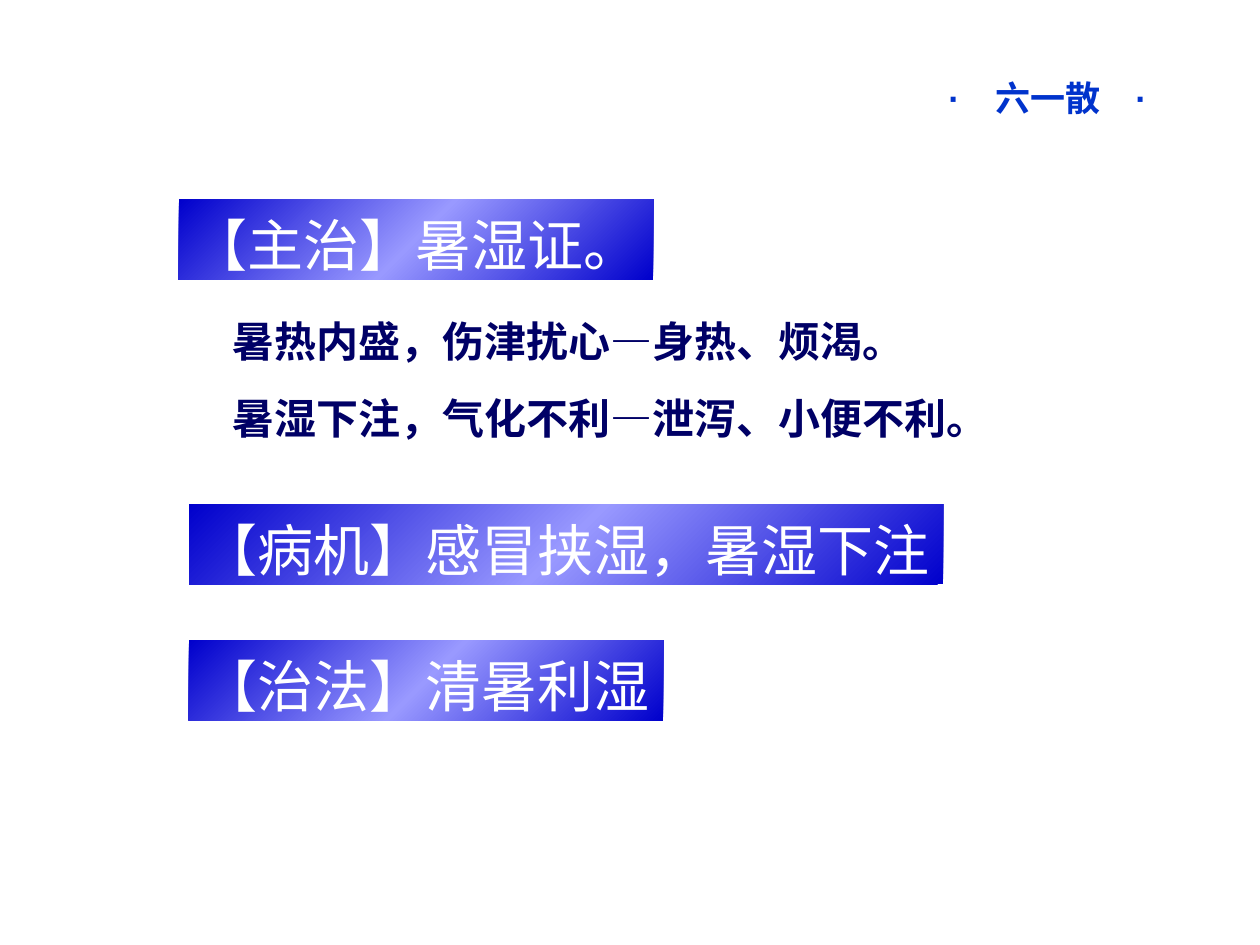
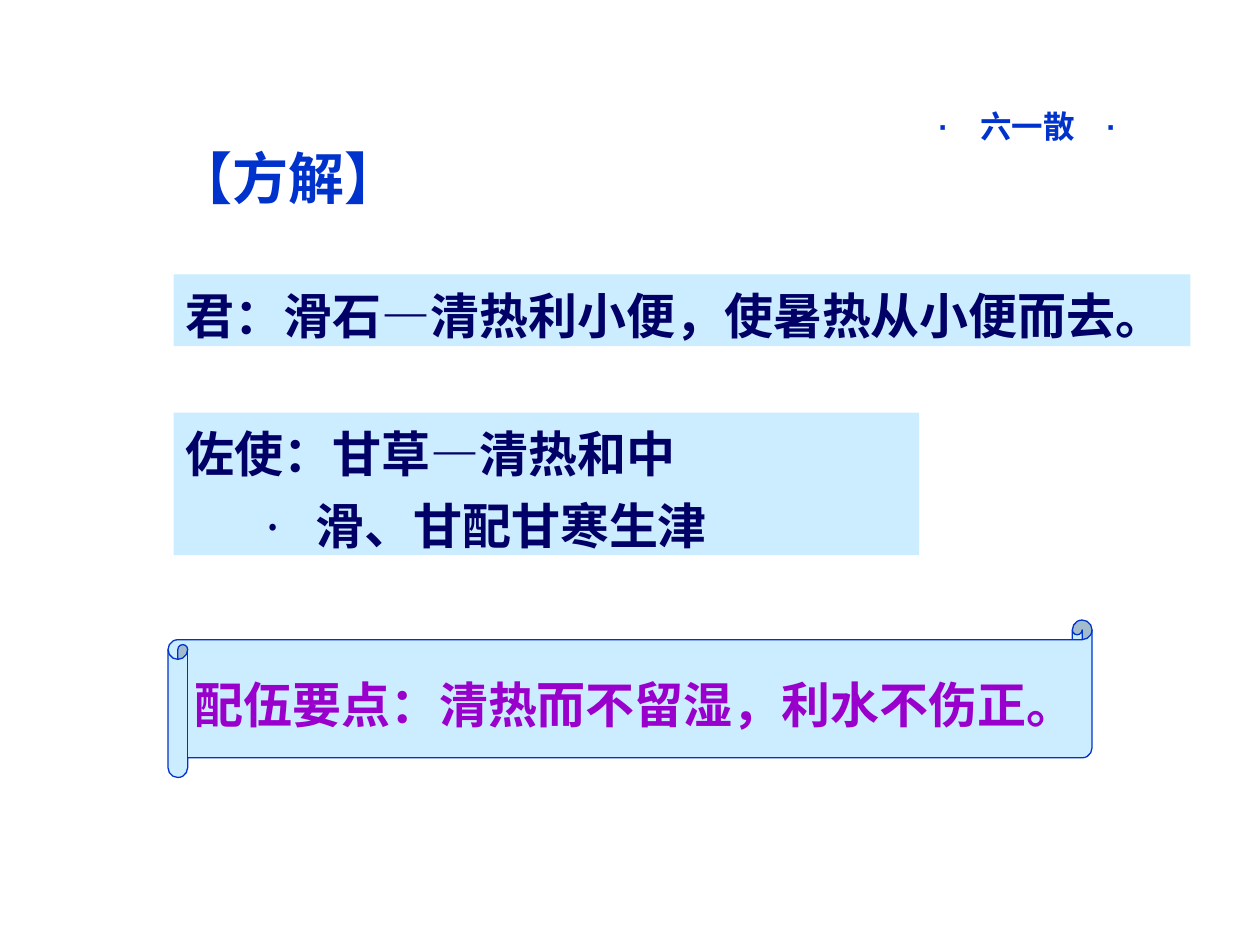
from copy import deepcopy
from dataclasses import dataclass

from pptx import Presentation
from pptx import util as u
from pptx.dml.color import RGBColor
from pptx.enum import shapes, text
from pptx.oxml import ns, xmlchemy

Pt = u.Pt


@dataclass(frozen=True)
class Theme:
    """Colours, fonts and type sizes of the deck."""

    blue: str = "0033CC"
    navy: str = "000066"
    purple: str = "9900CC"
    white: str = "FFFFFF"
    pale: str = "CCECFF"
    banner: tuple = ("0000CC", "9999FF", "0000CC")
    latin: str = "Arial"
    cjk: str = "Noto Sans CJK JP"
    cjk_body: str = "Noto Sans CJK SC"
    heading: int = 32
    point: int = 28
    symptom: int = 24
    header: int = 20
    small_header: int = 18
    line_factor: float = 1.21


THEME = Theme()
HEADER_TEXT = "·　六一散　·"
LEFT, CENTER = text.PP_ALIGN.LEFT, text.PP_ALIGN.CENTER
HEADING = dict(size=THEME.heading, color=THEME.white, bold=False)
POINT = dict(size=THEME.point, color=THEME.navy, gap=7)
SYMPTOM = dict(size=THEME.symptom, color=THEME.navy, gap=15,
               latin=THEME.cjk_body, asian=THEME.cjk_body)
KEY_POINT = dict(size=THEME.point, color=THEME.purple, align=CENTER, wrap=False)
TITLE = dict(size=THEME.heading, color=THEME.blue, align=CENTER,
             latin=THEME.latin, asian=THEME.cjk_body)


def set_all(target, values):
    """Set every attribute in a dict of format values."""
    for name, value in values.items():
        setattr(target, name, value)


def place(shape, box):
    """Move a shape to a box of left, top, width and height in points."""
    set_all(shape, dict(zip(("left", "top", "width", "height"), map(Pt, box))))


def set_bullet(paragraph, bullet, margin=74, hanging=32):
    """Give a paragraph a hanging bullet, or none."""
    properties = paragraph._p.get_or_add_pPr()
    properties.set("marL", str(Pt(margin if bullet else 0)))
    properties.set("indent", str(Pt(-hanging if bullet else 0)))
    if bullet:
        font = xmlchemy.OxmlElement("a:buFont")
        font.set("typeface", THEME.cjk)
        mark = xmlchemy.OxmlElement("a:buChar")
        mark.set("char", bullet)
        properties.extend((font, mark))
    else:
        properties.append(xmlchemy.OxmlElement("a:buNone"))


def write(shape, lines, size, color, bold=True, align=LEFT, gap=0, wrap=True,
          latin=THEME.cjk, asian=THEME.cjk, bullets=()):
    """Fill a shape with formatted paragraphs."""
    frame = shape.text_frame
    set_all(frame, dict(
        text="\n".join(lines), auto_size=text.MSO_AUTO_SIZE.NONE, word_wrap=wrap,
        vertical_anchor=text.MSO_ANCHOR.MIDDLE, margin_left=Pt(7.2),
        margin_right=Pt(7.2), margin_top=Pt(5), margin_bottom=0))
    for index, paragraph in enumerate(frame.paragraphs):
        set_bullet(paragraph, dict(bullets).get(index))
        set_all(paragraph, dict(
            alignment=align, space_before=Pt(gap if index else 0),
            line_spacing=Pt(round(size * THEME.line_factor))))
        for run in paragraph.runs:
            set_all(run.font, dict(name=latin, size=Pt(size), bold=bold))
            run.font.color.rgb = RGBColor.from_string(color)
            typeface = xmlchemy.OxmlElement("a:ea")
            typeface.set("typeface", asian)
            run._r.get_or_add_rPr().append(typeface)


def add_box(slide, box, kind=shapes.MSO_SHAPE.RECTANGLE):
    """Add a plain preset shape without line or shadow."""
    shape = slide.shapes.add_shape(kind, *map(Pt, box))
    shape.shadow.inherit = False
    shape.line.fill.background()
    shape.fill.solid()
    shape.fill.fore_color.rgb = RGBColor.from_string(THEME.pale)
    return shape


def style_banner(shape, label):
    """Paint a shape with the diagonal gradient and write its heading."""
    fill = shape.fill
    fill.gradient()
    fill.gradient_angle = 315
    stops = shape._element.spPr.find(".//" + ns.qn("a:gsLst"))
    stops.append(deepcopy(stops[0]))
    for index, (stop, color) in enumerate(zip(fill.gradient_stops, THEME.banner)):
        stop.position = index / 2
        stop.color.rgb = RGBColor.from_string(color)
    write(shape, [label], wrap=False, **HEADING)


def write_header(shape, box, size):
    """Place the formula name at the top right."""
    place(shape, box)
    write(shape, [HEADER_TEXT], size, THEME.blue, align=CENTER, wrap=False,
          latin=THEME.latin, asian=THEME.cjk_body)


def add_text_box(slide, box):
    """Add an empty text box."""
    return slide.shapes.add_textbox(*map(Pt, box))


def add_scroll(slide, box, label):
    """Add the outlined scroll with the key point."""
    scroll = add_box(slide, box, shapes.MSO_SHAPE.HORIZONTAL_SCROLL)
    scroll.line.color.rgb = RGBColor.from_string(THEME.blue)
    scroll.line.width = Pt(0.75)
    write(scroll, [label], **KEY_POINT)


def build_indication_slide(presentation, box):
    """Build the slide of indication, mechanism and treatment."""
    left, top, width, height = box
    slide = presentation.slides.add_slide(presentation.slide_layouts[1])
    write_header(slide.shapes.title, (left + 376.5, top - 76.5, 240, 32), THEME.header)
    indication = slide.placeholders[1]
    place(indication, (left, top, 271, 46))
    style_banner(indication, "【主治】暑湿证。")
    for label, offset, banner_width in (
            ("【病机】感冒挟湿，暑湿下注", 174.2, width),
            ("【治法】清暑利湿", height - 46, 271)):
        banner = add_box(slide, (left + 5.8, top + offset, banner_width, 46))
        style_banner(banner, label)
    symptoms = add_text_box(slide, (left + 23.8, top + 60.5, 480, 80))
    write(symptoms, ["暑热内盛，伤津扰心—身热、烦渴。",
                     "暑湿下注，气化不利—泄泻、小便不利。"], **SYMPTOM)


def build_explanation_slide(presentation, box):
    """Build the slide that explains the formula."""
    left, top, width, height = box
    slide = presentation.slides.add_slide(presentation.slide_layouts[5])
    place(slide.shapes.title, (left - 84.5, top - 74, 300, 31))
    write(slide.shapes.title, ["【方解】"], **TITLE)
    chief = add_box(slide, (left, top, width, 41))
    write(chief, ["君：滑石—清热利小便，使暑热从小便而去。"], **POINT)
    assistant = add_box(slide, (left, top + 79, 426, 81.5))
    write(assistant, ["佐使：甘草—清热和中", "滑、甘配甘寒生津"],
          bullets=[(1, "·")], **POINT)
    add_scroll(slide, (left - 3.2, top + height - 90, 528, 90),
               "配伍要点：清热而不留湿，利水不伤正。")
    header_box = (left + 425.5, top - 102, 125, 29)
    write_header(add_text_box(slide, header_box), header_box, THEME.small_header)


def main():
    """Build and save the deck."""
    presentation = Presentation()
    set_all(presentation, dict(slide_width=Pt(720), slide_height=Pt(540)))
    build_indication_slide(presentation, (102.2, 113.8, 431, 298))
    build_explanation_slide(presentation, (99.2, 156.8, 581, 287.5))
    presentation.save("out.pptx")


if __name__ == "__main__":
    main()
